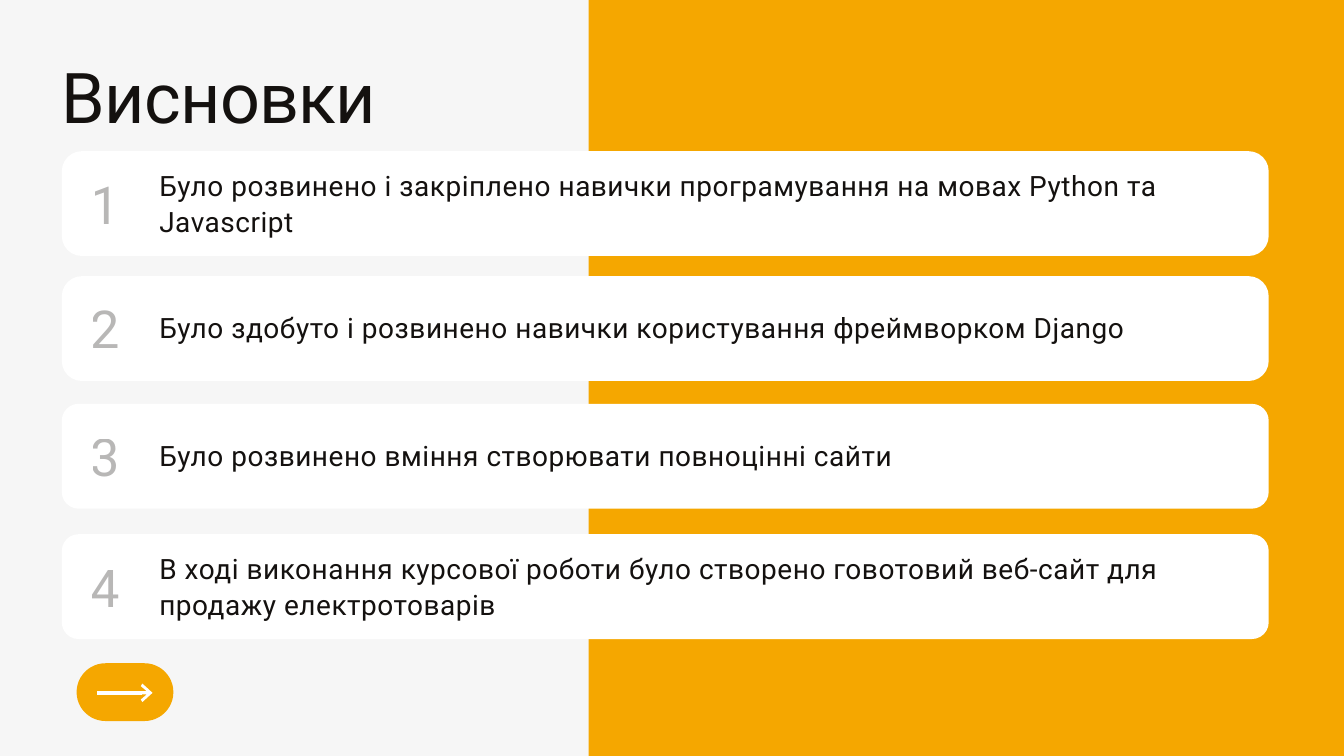
"""Build the conclusions slide: four numbered cards over a two-tone background."""
from lxml import etree
from pptx import Presentation
from pptx.dml.color import RGBColor
from pptx.enum.shapes import MSO_CONNECTOR, MSO_SHAPE
from pptx.enum.text import MSO_AUTO_SIZE
from pptx.oxml.ns import qn
from pptx.util import Pt

PX = 9144
RECTANGLE = MSO_SHAPE.RECTANGLE
ROUNDED = MSO_SHAPE.ROUNDED_RECTANGLE
STRAIGHT = MSO_CONNECTOR.STRAIGHT
GROW = MSO_AUTO_SIZE.SHAPE_TO_FIT_TEXT
PAPER, ORANGE, WHITE, INK = "F6F6F6", "F5A700", "FFFFFF", "14110F"
CARD_LEFT, CARD_WIDTH, CARD_HEIGHT = 92, 1796, 156
CARDS = [
    (225, 30, 248, 246, 109, "Було розвинено і закріплено навички програмування на мовах Python та Javascript"),
    (411, 30, 433, 458, 55, "Було здобуто і розвинено навички користування фреймворком Django"),
    (601, 25, 624, 649, 55, "Було розвинено вміння створювати повноцінні сайти"),
    (795, 25, 818, 816, 160, "В ході виконання курсової роботи було створено говотовий веб-сайт для продажу електротоварів"),
]

deck = Presentation()
deck.slide_width, deck.slide_height = 2000 * PX, 1125 * PX
page = deck.slides.add_slide(deck.slide_layouts[6])
page.background.fill.solid()
page.background.fill.fore_color.rgb = RGBColor.from_string(PAPER)


def add_block(kind, left, top, width, height, color, radius=0):
    """Add a filled shape without an outline; radius is in px."""
    block = page.shapes.add_shape(kind, left * PX, top * PX, width * PX, height * PX)
    block.shadow.inherit = False
    block.fill.solid()
    block.fill.fore_color.rgb = RGBColor.from_string(color)
    block.line.fill.background()
    if radius:
        block.adjustments[0] = radius / height


def add_text(left, top, width, height, text, size, spacing, tracking, opacity=100):
    """Add a one-run text box; tracking is in hundredths of a point."""
    box = page.shapes.add_textbox(left * PX, top * PX, width * PX, height * PX)
    frame = box.text_frame
    frame.word_wrap = True
    frame.auto_size = GROW
    frame.margin_left = frame.margin_top = frame.margin_right = frame.margin_bottom = 0
    para = frame.paragraphs[0]
    para.line_spacing = Pt(spacing)
    span = para.add_run()
    span.text = text
    span.font.name = "Roboto"
    span.font.size = Pt(size)
    span.font.color.rgb = RGBColor.from_string(INK)
    properties = span._r.get_or_add_rPr()
    properties.set("spc", str(tracking))
    if opacity < 100:
        color = properties.find(".//" + qn("a:srgbClr"))
        etree.SubElement(color, qn("a:alpha"), val=str(opacity * 1000))


add_block(RECTANGLE, 876, 0, 1124, 1125, ORANGE)
add_text(92, 69, 567, 133, "Висновки", 75, 97.5, -70)

for number, (top, radius, number_top, text_top, text_height, text) in enumerate(CARDS, 1):
    add_block(ROUNDED, CARD_LEFT, top, CARD_WIDTH, CARD_HEIGHT, WHITE, radius)
    add_text(135, number_top, 102, 101, str(number), 56, 72.8, -60, 30)
    add_text(237, text_top, 1541, text_height, text, 30, 39, 60)

add_block(ROUNDED, 114, 987, 144, 86, ORANGE, 43)
arrow = page.shapes.add_connector(STRAIGHT, 145 * PX, 1031 * PX, 227 * PX, 1031 * PX)
arrow.line.color.rgb = RGBColor.from_string(WHITE)
arrow.line.width = 5 * PX
etree.SubElement(arrow.line._get_or_add_ln(), qn("a:tailEnd"), type="arrow", w="lg", len="med")
etree.SubElement(arrow._element.spPr, qn("a:effectLst"))

deck.save("out.pptx")
